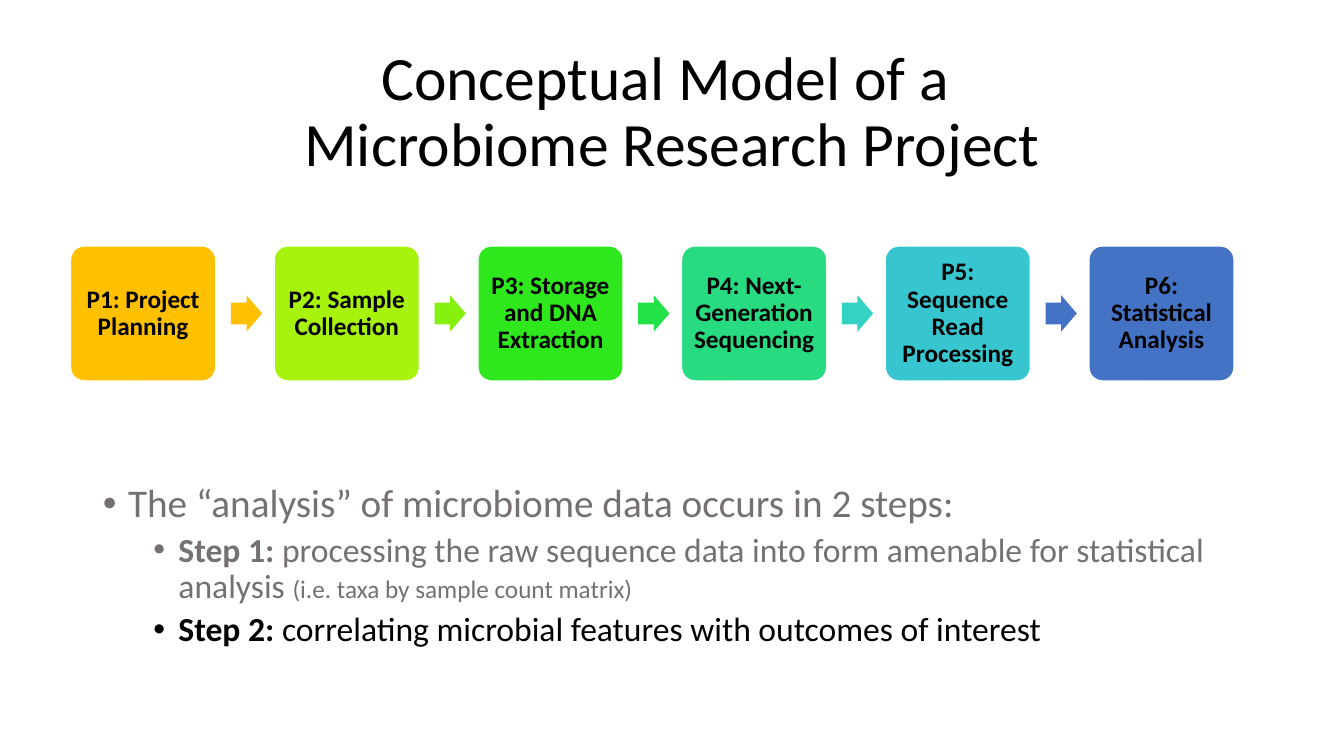
from dataclasses import dataclass

from lxml.etree import SubElement
from pptx import Presentation
from pptx.dml.color import RGBColor
from pptx.enum.shapes import MSO_SHAPE
from pptx.enum.text import MSO_ANCHOR, MSO_AUTO_SIZE, PP_ALIGN
from pptx.oxml.ns import qn
from pptx.shapes.autoshape import Shape
from pptx.slide import Slide
from pptx.text.text import _Paragraph as Paragraph
from pptx.util import Emu, Pt

EMU_PER_PX = 9144
FONT = "Calibri"
COLORS = {
    "black": "000000",
    "white": "FFFFFF",
    "grey": "767171",
    "amber": "FFC000",
    "lime": "A7F30E",
    "bright_lime": "86F011",
    "green": "2EE71C",
    "emerald": "23E148",
    "mint": "29DB80",
    "turquoise": "33D2C5",
    "cyan": "37C6CF",
    "blue": "4472C4",
}

PHASE_LEFT, PHASE_TOP, PHASE_WIDTH, PHASE_HEIGHT = 70, 244, 144, 134
PHASE_PITCH = 202
ARROW_OFFSET, ARROW_WIDTH, ARROW_HEIGHT = 159, 31, 36
PHASE_INSET = 7


@dataclass(frozen=True)
class Phase:
    label: str
    color: str
    arrow_color: str | None = None


@dataclass(frozen=True)
class Span:
    text: str
    size: int
    color: str = "grey"
    bold: bool = False


@dataclass(frozen=True)
class Bullet:
    level: int
    spans: tuple[Span, ...]


PHASES = (
    Phase("P1: Project Planning", "amber", "amber"),
    Phase("P2: Sample Collection", "lime", "bright_lime"),
    Phase("P3: Storage and DNA Extraction", "green", "emerald"),
    Phase("P4: Next-Generation Sequencing", "mint", "turquoise"),
    Phase("P5: Sequence Read Processing", "cyan", "blue"),
    Phase("P6: Statistical Analysis", "blue"),
)
TITLE_LINES = ("Conceptual Model of a ", "Microbiome Research Project")
BULLETS = (
    Bullet(0, (Span("The “analysis” of microbiome data occurs in 2 steps:", 28),)),
    Bullet(1, (
        Span("Step 1:", 24, bold=True),
        Span(" processing the raw sequence data into form amenable for statistical analysis ", 24),
        Span("(i.e. taxa by sample count matrix)", 18),
    )),
    Bullet(1, (
        Span("Step 2: ", 24, "black", True),
        Span("correlating microbial features with outcomes of interest", 24, "black"),
    )),
)


def px(length: int) -> Emu:
    return Emu(length * EMU_PER_PX)


def rgb(name: str) -> RGBColor:
    return RGBColor.from_string(COLORS[name])


def place(shape: Shape, left: int, top: int, width: int, height: int) -> None:
    shape.left, shape.top = px(left), px(top)
    shape.width, shape.height = px(width), px(height)


def add_span(paragraph: Paragraph, span: Span) -> None:
    run = paragraph.add_run()
    run.text = span.text
    run.font.name = FONT
    run.font.size = Pt(span.size)
    run.font.bold = span.bold
    run.font.color.rgb = rgb(span.color)


def add_filled_shape(slide: Slide, kind: MSO_SHAPE, left: int, top: int,
                     width: int, height: int, color: str) -> Shape:
    shape = slide.shapes.add_shape(kind, px(left), px(top), px(width), px(height))
    shape.shadow.inherit = False
    shape.fill.solid()
    shape.fill.fore_color.rgb = rgb(color)
    shape.line.fill.background()
    return shape


def add_phase(slide: Slide, phase: Phase, left: int) -> None:
    box = add_filled_shape(slide, MSO_SHAPE.ROUNDED_RECTANGLE, left, PHASE_TOP,
                           PHASE_WIDTH, PHASE_HEIGHT, phase.color)
    box.adjustments[0] = 0.1
    box.line.color.rgb = rgb("white")
    box.line.width = Pt(1)
    frame = box.text_frame
    frame.word_wrap = True
    frame.vertical_anchor = MSO_ANCHOR.MIDDLE
    frame.margin_left = frame.margin_right = px(PHASE_INSET)
    frame.margin_top = frame.margin_bottom = px(PHASE_INSET)
    paragraph = frame.paragraphs[0]
    paragraph.alignment = PP_ALIGN.CENTER
    paragraph.line_spacing = 0.9
    add_span(paragraph, Span(phase.label, 18, "black", True))

    if phase.arrow_color:
        arrow_top = PHASE_TOP + (PHASE_HEIGHT - ARROW_HEIGHT) // 2
        arrow = add_filled_shape(slide, MSO_SHAPE.RIGHT_ARROW, left + ARROW_OFFSET,
                                 arrow_top, ARROW_WIDTH, ARROW_HEIGHT, phase.arrow_color)
        arrow.adjustments[0] = 0.6
        arrow.adjustments[1] = 0.5


def fill_title(title: Shape) -> None:
    place(title, 92, 40, 1150, 145)
    frame = title.text_frame
    frame.auto_size = MSO_AUTO_SIZE.NONE
    frame.vertical_anchor = MSO_ANCHOR.MIDDLE
    paragraph = frame.paragraphs[0]
    paragraph.alignment = PP_ALIGN.CENTER
    paragraph.line_spacing = 0.9
    for index, line in enumerate(TITLE_LINES):
        if index:
            paragraph.add_line_break()
        add_span(paragraph, Span(line, 44, "black"))


def set_bullet(paragraph: Paragraph, level: int) -> None:
    """Set the level, its hanging indent and a round bullet."""
    paragraph.level = level
    properties = paragraph._p.get_or_add_pPr()
    properties.set("marL", str(px(25 + 50 * level)))
    properties.set("indent", str(px(-25)))
    SubElement(properties, qn("a:buFont"), typeface="Arial")
    SubElement(properties, qn("a:buChar"), char="•")


def fill_body(body: Shape) -> None:
    place(body, 92, 475, 1150, 228)
    frame = body.text_frame
    frame.auto_size = MSO_AUTO_SIZE.NONE
    for index, bullet in enumerate(BULLETS):
        paragraph = frame.add_paragraph() if index else frame.paragraphs[0]
        paragraph.line_spacing = 0.9
        paragraph.space_before = Pt(5 if bullet.level else 10)
        set_bullet(paragraph, bullet.level)
        for span in bullet.spans:
            add_span(paragraph, span)


def main() -> None:
    presentation = Presentation()
    presentation.slide_width, presentation.slide_height = px(1333), px(750)
    slide = presentation.slides.add_slide(presentation.slide_layouts[1])
    fill_title(slide.shapes.title)
    fill_body(slide.placeholders[1])
    for index, phase in enumerate(PHASES):
        add_phase(slide, phase, PHASE_LEFT + index * PHASE_PITCH)
    presentation.save("out.pptx")


if __name__ == "__main__":
    main()
